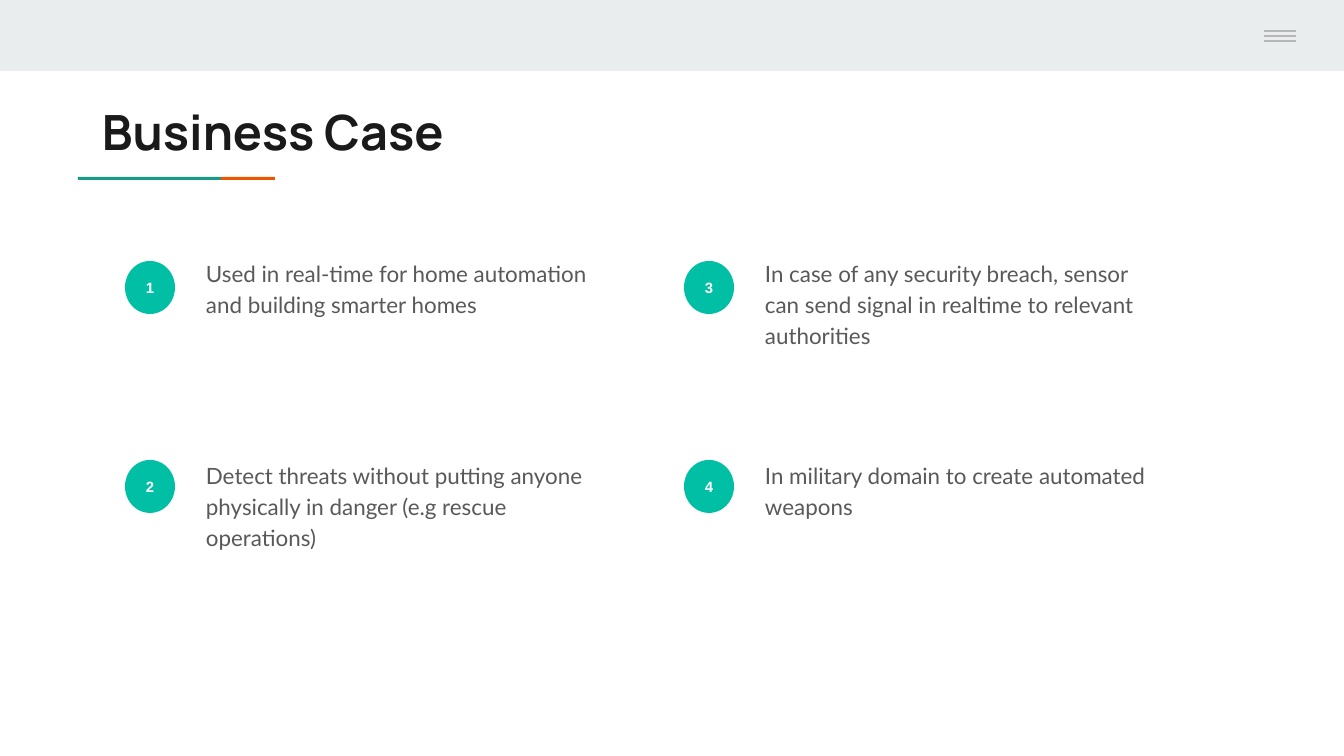
"""Build the Business Case slide with four numbered points."""
from lxml import etree
from pptx import Presentation
from pptx.dml.color import RGBColor
from pptx.enum.shapes import MSO_CONNECTOR, MSO_SHAPE
from pptx.enum.text import MSO_ANCHOR, PP_ALIGN
from pptx.oxml.ns import qn
from pptx.util import Emu, Pt

RECT, OVAL = MSO_SHAPE.RECTANGLE, MSO_SHAPE.OVAL
STRAIGHT = MSO_CONNECTOR.STRAIGHT
TOP, MIDDLE = MSO_ANCHOR.TOP, MSO_ANCHOR.MIDDLE
LEFT, CENTER = PP_ALIGN.LEFT, PP_ALIGN.CENTER

BAND = RGBColor(0xE9, 0xED, 0xEE)
ORANGE = RGBColor(0xEB, 0x56, 0x00)
GREEN = RGBColor(0x1A, 0x99, 0x88)
TEAL = RGBColor(0x00, 0xBF, 0xA5)
MENU_GRAY = RGBColor(0xB7, 0xB7, 0xB7)
INK = RGBColor(0x1A, 0x1A, 0x1A)
BODY_GRAY = RGBColor(0x59, 0x59, 0x59)
WHITE = RGBColor(0xFF, 0xFF, 0xFF)

TITLE = "Business Case"
POINTS = [
    "Used in real-time for home automation and building smarter homes",
    "Detect threats without putting anyone physically in danger (e.g rescue operations)",
    "In case of any security breach, sensor can send signal in realtime to relevant authorities",
    "In military domain to create automated weapons",
]
BARS = [(0, 0, 1344, 71, BAND), (221, 177, 54, 3, ORANGE), (78, 177, 143, 3, GREEN)]
MENU_LINES = [31, 36, 41]
COLUMNS = [125, 684]
ROWS = [(261, 243), (460, 445)]


def px(n):
    return Emu(round(n * 914400 / 134.4))


def add_filled(slide, kind, x, y, w, h, color):
    sp = slide.shapes.add_shape(kind, px(x), px(y), px(w), px(h))
    sp.shadow.inherit = False
    sp.fill.solid()
    sp.fill.fore_color.rgb = color
    sp.line.fill.background()
    return sp


def add_text_box(slide, x, y, w, h):
    return slide.shapes.add_textbox(px(x), px(y), px(w), px(h))


def write(sp, text, font, size, color, bold=False, align=LEFT, anchor=TOP):
    tf = sp.text_frame
    tf.word_wrap = True
    tf.vertical_anchor = anchor
    tf.margin_left = tf.margin_right = tf.margin_top = tf.margin_bottom = px(13)
    p = tf.paragraphs[0]
    p.text = text
    p.alignment = align
    p.font.name, p.font.size, p.font.bold = font, Pt(size), bold
    p.font.color.rgb = color
    return p


def add_menu_line(slide, y):
    line = slide.shapes.add_connector(STRAIGHT, px(1264), px(y), px(1296), px(y))
    line.line.color.rgb = MENU_GRAY
    line.line.width = Pt(0.75)
    etree.SubElement(line._element.spPr, qn("a:effectLst"))


def main():
    prs = Presentation()
    prs.slide_width, prs.slide_height = px(1344), px(756)
    slide = prs.slides.add_slide(prs.slide_layouts[6])

    for x, y, w, h, color in BARS:
        add_filled(slide, RECT, x, y, w, h, color)
    for y in MENU_LINES:
        add_menu_line(slide, y)
    write(add_text_box(slide, 89, 89, 1130, 79), TITLE, "Manrope", 26, INK, bold=True)

    for i, text in enumerate(POINTS):
        x = COLUMNS[i // len(ROWS)]
        badge_y, text_y = ROWS[i % len(ROWS)]
        badge = add_filled(slide, OVAL, x, badge_y, 50, 53, TEAL)
        write(badge, str(i + 1), "Arial", 8, WHITE, True, CENTER, MIDDLE)
        p = write(add_text_box(slide, x + 68, text_y, 429, 172), text, "Lato", 12, BODY_GRAY)
        p.line_spacing = 1.15
        p.space_after = Pt(16)

    prs.save("out.pptx")


if __name__ == "__main__":
    main()
